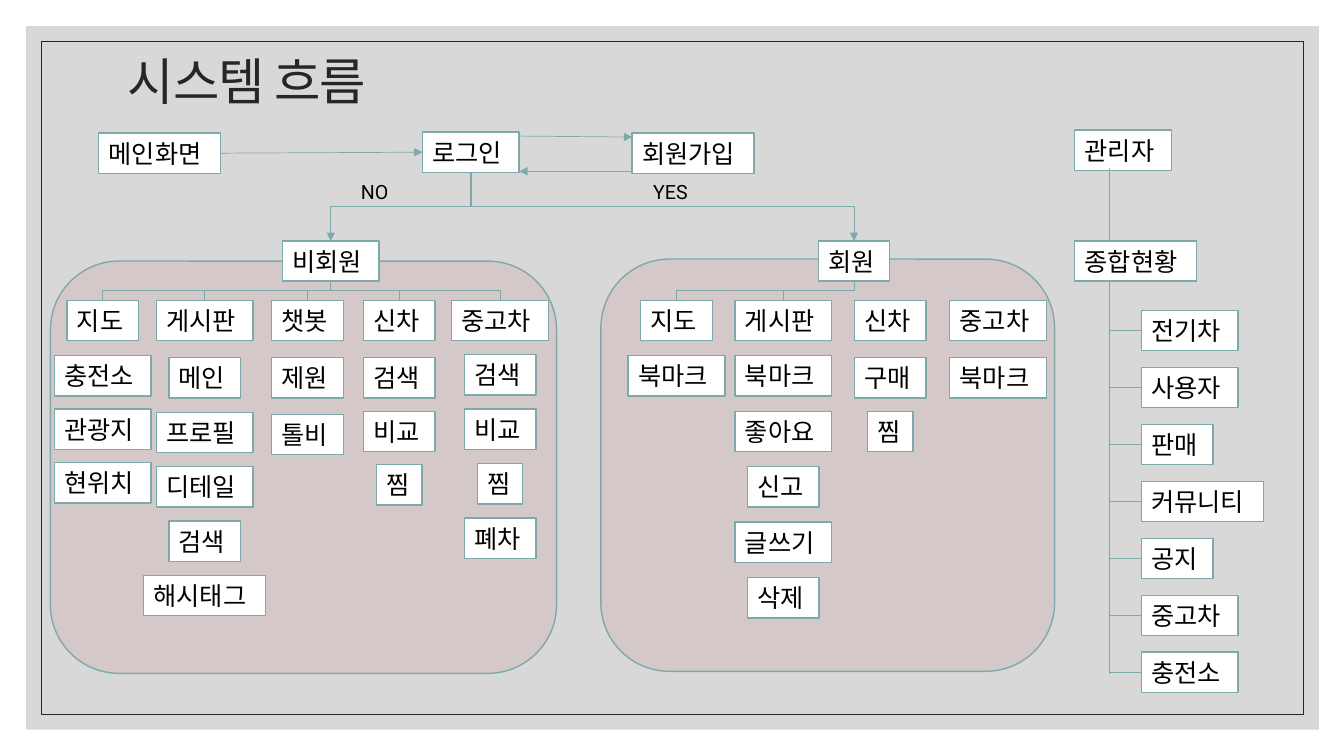
from lxml import etree
from pptx import Presentation
from pptx.dml.color import RGBColor
from pptx.enum.shapes import MSO_CONNECTOR, MSO_SHAPE
from pptx.enum.text import MSO_ANCHOR, MSO_AUTO_SIZE
from pptx.oxml.ns import qn
from pptx.util import Inches, Pt

FONT = "Roboto"
TEAL = "7EA9AB"
DARK = "262626"
BOX_HEIGHT = 0.4
BOX_WIDTHS = {1: 0.45, 2: 0.71, 3: 0.96, 4: 1.21}
HEADING_TOP = 2.98
GROUP_TOP = 2.39

# Centre of the column, heading, first item top, item pitch, items
GUEST_COLUMNS = [
    (1.02, "지도", 3.53, 0.53, ["충전소", "관광지", "현위치"]),
    (2.03, "게시판", 3.55, 0.54, ["메인", "프로필", "디테일", "검색", "해시태그"]),
    (3.05, "챗봇", 3.55, 0.56, ["제원", "톨비"]),
    (3.96, "신차", 3.55, 0.53, ["검색", "비교", "찜"]),
    (4.96, "중고차", 3.52, 0.54, ["검색", "비교", "찜", "폐차"]),
]
MEMBER_COLUMNS = [
    (6.71, "지도", 3.53, 0.55, ["북마크"]),
    (7.77, "게시판", 3.53, 0.55, ["북마크", "좋아요", "신고", "글쓰기", "삭제"]),
    (8.83, "신차", 3.55, 0.53, ["구매", "찜"]),
    (9.9, "중고차", 3.55, 0.53, ["북마크"]),
]
ADMIN_ITEMS = ["전기차", "사용자", "판매", "커뮤니티", "공지", "중고차", "충전소"]


def color(value):
    return RGBColor.from_string(value)


def add_panel(slide, kind, left, top, width, height, fill=None, line=None, weight=1):
    shape = slide.shapes.add_shape(
        kind, Inches(left), Inches(top), Inches(width), Inches(height))
    shape.shadow.inherit = False
    if fill:
        shape.fill.solid()
        shape.fill.fore_color.rgb = color(fill)
    else:
        shape.fill.background()
    if line:
        shape.line.color.rgb = color(line)
        shape.line.width = Pt(weight)
    else:
        shape.line.fill.background()
    return shape


def add_frame(slide):
    backdrop = add_panel(slide, MSO_SHAPE.RECTANGLE, 0.26, 0.26, 12.82, 6.98, "BFBFBF")
    fill_color = backdrop.fill._xPr.find(qn("a:solidFill"))[0]
    etree.SubElement(fill_color, qn("a:alpha")).set("val", "60000")
    add_panel(slide, MSO_SHAPE.RECTANGLE, 0.41, 0.41, 12.52, 6.68, line=DARK, weight=0.5)


def format_run(paragraph, size, text_color):
    font = paragraph.runs[0].font
    font.name = FONT
    font.size = Pt(size)
    font.color.rgb = color(text_color)


def add_text(slide, text, left, top, width, height, size, text_color="000000"):
    text_frame = slide.shapes.add_textbox(
        Inches(left), Inches(top), Inches(width), Inches(height)).text_frame
    text_frame.word_wrap = True
    text_frame.text = text
    format_run(text_frame.paragraphs[0], size, text_color)
    return text_frame


def add_title(slide):
    text_frame = add_text(slide, "시스템 흐름", 1.17, 0.5, 11, 0.68, 36, DARK)
    text_frame.vertical_anchor = MSO_ANCHOR.MIDDLE
    paragraph = text_frame.paragraphs[0]
    paragraph.line_spacing = 0.9
    paragraph.runs[0].font._element.set("spc", "-70")


def add_box(slide, text, left, top):
    """Add a labelled white box whose width follows the length of its text."""
    box = add_panel(slide, MSO_SHAPE.RECTANGLE, left, top,
                    BOX_WIDTHS[len(text)], BOX_HEIGHT, "FFFFFF", TEAL)
    text_frame = box.text_frame
    text_frame.word_wrap = True
    text_frame.auto_size = MSO_AUTO_SIZE.SHAPE_TO_FIT_TEXT
    text_frame.vertical_anchor = MSO_ANCHOR.TOP
    text_frame.text = text
    paragraph = text_frame.paragraphs[0]
    paragraph.alignment = 1
    format_run(paragraph, 18, "000000")


def add_centered_box(slide, text, center, top):
    add_box(slide, text, center - BOX_WIDTHS[len(text)] / 2, top)


def add_line(slide, x1, y1, x2, y2, arrow=False, kind=MSO_CONNECTOR.STRAIGHT):
    connector = slide.shapes.add_connector(
        kind, Inches(x1), Inches(y1), Inches(x2), Inches(y2))
    connector.line.color.rgb = color(TEAL)
    connector.line.width = Pt(0.5)
    if arrow:
        line = connector.line._get_or_add_ln()
        etree.SubElement(line, qn("a:tailEnd")).set("type", "triangle")
    etree.SubElement(connector._element.spPr, qn("a:effectLst"))
    return connector


def add_elbow(slide, x1, y1, x2, y2, arrow=False):
    """Add a connector that runs down, across and down again."""
    half_drop, half_run = (y2 - y1) / 2, abs(x2 - x1) / 2
    center_x, center_y = (x1 + x2) / 2, (y1 + y2) / 2
    connector = add_line(slide, center_x - half_drop, center_y - half_run,
                         center_x + half_drop, center_y + half_run,
                         arrow, MSO_CONNECTOR.ELBOW)
    transform = connector._element.spPr.find(qn("a:xfrm"))
    if x2 < x1:
        transform.set("rot", str(90 * 60000))
    else:
        transform.set("rot", str(270 * 60000))
        transform.set("flipH", "1")


def add_columns(slide, columns):
    for center, heading, first_top, pitch, items in columns:
        add_centered_box(slide, heading, center, HEADING_TOP)
        for index, item in enumerate(items):
            add_centered_box(slide, item, center, first_top + index * pitch)


def add_group(slide, name, center, columns, linked_columns):
    """Add a user group, its columns and the branches from the login box."""
    add_centered_box(slide, name, center, GROUP_TOP)
    add_columns(slide, columns)
    add_elbow(slide, 4.67, 1.71, center, GROUP_TOP, arrow=True)
    for column in columns[:linked_columns]:
        add_elbow(slide, center, GROUP_TOP + BOX_HEIGHT, column[0], HEADING_TOP)


def add_login_flow(slide):
    add_box(slide, "메인화면", 0.98, 1.32)
    add_box(slide, "로그인", 4.19, 1.31)
    add_box(slide, "회원가입", 6.27, 1.32)
    add_line(slide, 2.19, 1.52, 4.19, 1.51, arrow=True)
    add_line(slide, 5.15, 1.35, 6.27, 1.36, arrow=True)
    add_line(slide, 6.27, 1.7, 5.15, 1.7, arrow=True)
    for text, left, width in [("NO", 3.48, 0.52), ("YES", 6.38, 0.55)]:
        add_text(slide, text, left, 1.74, width, 0.34, 14).word_wrap = False


def add_admin_tree(slide):
    trunk, item_left, first_top, last_top = 11, 11.32, 3.08, 6.47
    pitch = (last_top - first_top) / (len(ADMIN_ITEMS) - 1)
    add_box(slide, "관리자", 10.66, 1.29)
    add_box(slide, "종합현황", 10.66, GROUP_TOP)
    add_line(slide, trunk, 1.67, trunk, GROUP_TOP)
    add_line(slide, trunk, GROUP_TOP + BOX_HEIGHT, trunk, 6.69)
    for index, item in enumerate(ADMIN_ITEMS):
        top = first_top + index * pitch
        middle = top + BOX_HEIGHT / 2
        add_box(slide, item, item_left, top)
        add_line(slide, trunk, middle, item_left, middle)


def main():
    presentation = Presentation()
    presentation.slide_width = Inches(13.33)
    presentation.slide_height = Inches(7.5)
    slide = presentation.slides.add_slide(presentation.slide_layouts[6])

    add_frame(slide)
    add_panel(slide, MSO_SHAPE.ROUNDED_RECTANGLE, 5.96, 2.57, 4.5, 4.09, "D4C8C8", TEAL)
    add_panel(slide, MSO_SHAPE.ROUNDED_RECTANGLE, 0.5, 2.59, 5.02, 4.09, "D4C8C8", TEAL)
    add_title(slide)
    add_login_flow(slide)
    add_group(slide, "비회원", 3.28, GUEST_COLUMNS, 5)
    add_group(slide, "회원", 8.47, MEMBER_COLUMNS, 2)
    add_admin_tree(slide)
    presentation.save("out.pptx")


if __name__ == "__main__":
    main()
